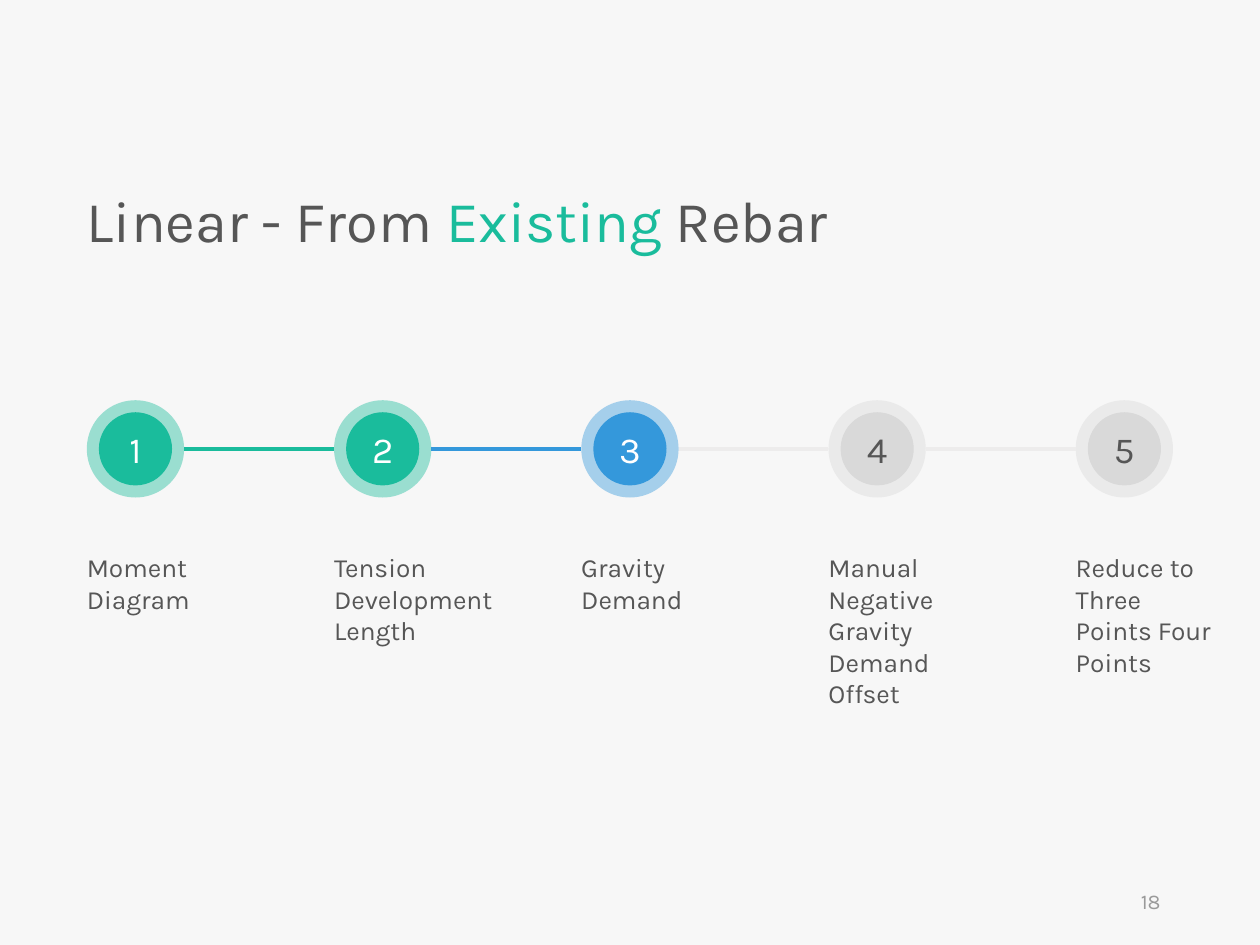
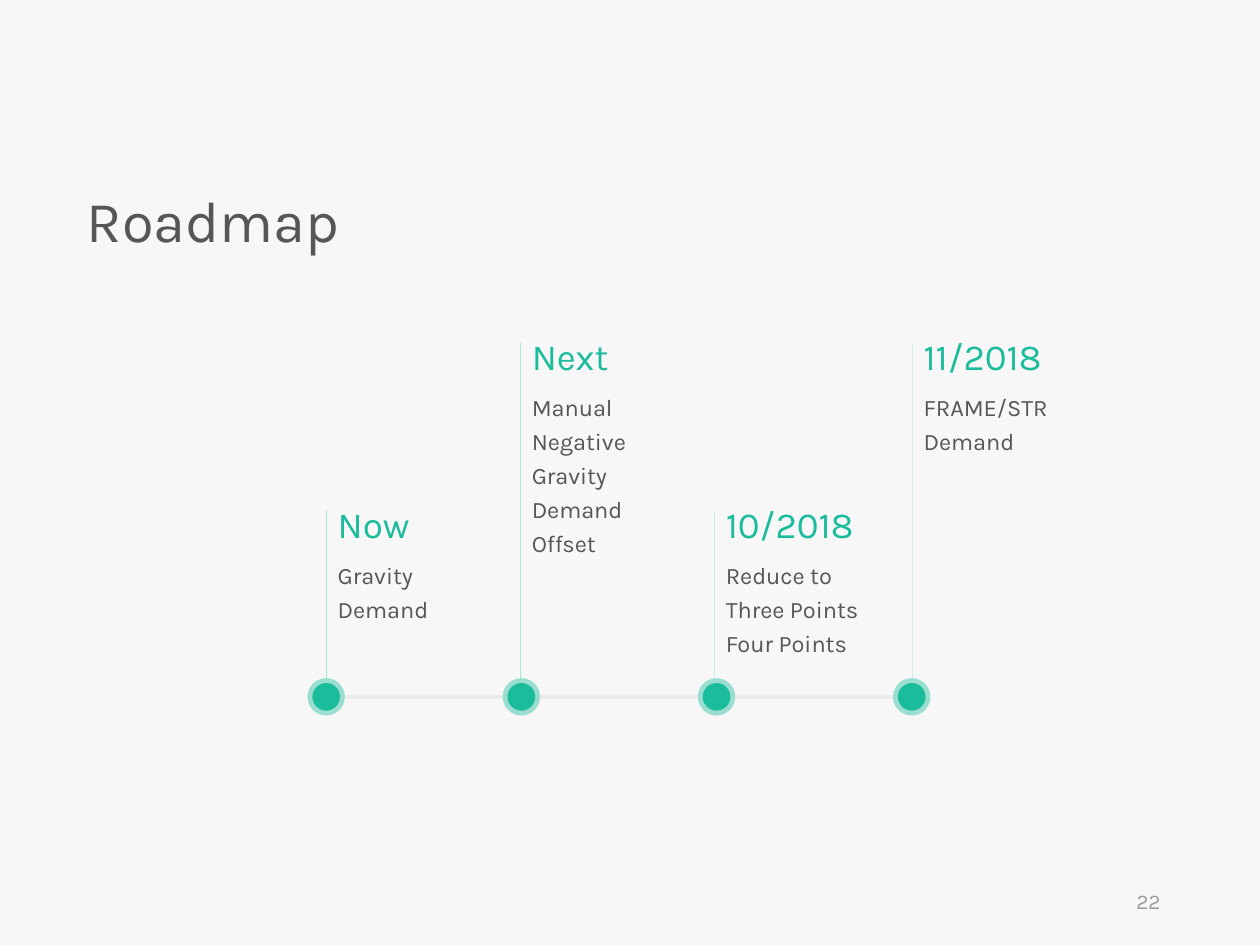
import pptx
import pptx.util
import pptx.dml.color
import pptx.enum.shapes
import pptx.enum.text
import pptx.oxml.ns
import lxml.etree

Pt = pptx.util.Pt
ANCHOR = pptx.enum.text.MSO_ANCHOR
ALIGN = pptx.enum.text.PP_ALIGN

FONT = "Karla"
BACK, TEXT, FOOTER = "F7F7F7", "565656", "9A9A9A"
GREEN, BLUE, GREY, PALE, WHITE = "1ABC9C", "3498DB", "D9D9D9", "EDECEC", "FFFFFF"
HALO = 42

STEPS = [
    ("Moment Diagram", 91.4, GREEN, WHITE),
    ("Tension Development Length", 102.2, GREEN, WHITE),
    ("Gravity Demand", 91.4, BLUE, WHITE),
    ("Manual Negative Gravity Demand Offset", 91.4, GREY, TEXT),
    ("Reduce to Three Points Four Points", 91.4, GREY, TEXT),
]
STEP_LINKS = [GREEN, BLUE, PALE, PALE]

MILESTONES = [
    ("Now", "Gravity Demand", 10.8, 96),
    ("Next", "Manual Negative Gravity Demand Offset", 121.7, 191.5),
    ("10/2018", "Reduce to Three Points Four Points", 232.6, 96),
    ("11/2018", "FRAME/STR Demand", 345.6, 191.5),
]


def rgb(value):
    """Return the colour for a hex string."""
    return pptx.dml.color.RGBColor.from_string(value)


def set_alpha(shape, percent):
    """Make the colours of a shape translucent."""
    qn = pptx.oxml.ns.qn
    for clr in shape._element.spPr.iter(qn("a:srgbClr")):
        lxml.etree.SubElement(clr, qn("a:alpha")).set("val", str(percent * 1000))


def add_run(p, text, size, color):
    """Add one run of text to a paragraph."""
    r = p.add_run()
    r.text = text
    r.font.name = FONT
    r.font.size = Pt(size)
    r.font.color.rgb = rgb(color)


def add_text(s, box, runs, size, inset=0, spacing=None):
    """Add a wrapped text box holding one paragraph and return it."""
    tb = s.shapes.add_textbox(*map(Pt, box))
    tf = tb.text_frame
    tf.word_wrap = True
    tf.auto_size = pptx.enum.text.MSO_AUTO_SIZE.SHAPE_TO_FIT_TEXT
    tf.margin_left = Pt(inset)
    p = tf.paragraphs[0]
    if spacing:
        p.line_spacing = spacing
    for text, color in runs:
        add_run(p, text, size, color)
    return tb


def add_line(s, start, end, color, width, alpha=None):
    """Add a straight connector between two points."""
    cx = s.shapes.add_connector(pptx.enum.shapes.MSO_CONNECTOR.STRAIGHT,
                                *map(Pt, (*start, *end)))
    cx.line.color.rgb = rgb(color)
    cx.line.width = Pt(width)
    if alpha:
        set_alpha(cx, alpha)
    lxml.etree.SubElement(cx._element.spPr, pptx.oxml.ns.qn("a:effectLst"))


def add_disc(shapes, x, y, size, color, alpha=None):
    """Add a borderless circle centred on a point and return it."""
    sp = shapes.add_shape(pptx.enum.shapes.MSO_SHAPE.OVAL,
                          Pt(x - size / 2), Pt(y - size / 2), Pt(size), Pt(size))
    sp.shadow.inherit = False
    sp.fill.solid()
    sp.fill.fore_color.rgb = rgb(color)
    sp.line.fill.background()
    if alpha:
        set_alpha(sp, alpha)
    return sp


def add_frame(prs, title_runs, title_width, number):
    """Add a slide with its background, title and page number."""
    s = prs.slides.add_slide(prs.slide_layouts[6])
    s.background.fill.solid()
    s.background.fill.fore_color.rgb = rgb(BACK)
    title = add_text(s, (49.7, 106.6, title_width, 43.2), title_runs, 33, spacing=0.9)
    title.text_frame.paragraphs[0].space_before = Pt(10)
    page = add_text(s, (508.3, 500.4, 162, 28.8), [(number, FOOTER)], 12, inset=7.2)
    page.text_frame.auto_size = pptx.enum.text.MSO_AUTO_SIZE.NONE
    page.text_frame.vertical_anchor = ANCHOR.MIDDLE
    page.text_frame.paragraphs[0].alignment = ALIGN.RIGHT
    return s


def add_steps(s, left, top, width):
    """Add the row of numbered steps with links and labels."""
    ring, core = 55.6, 41.8
    pitch = (width - ring) / (len(STEPS) - 1)
    middle = top + ring / 2
    for i, (label, label_width, color, ink) in enumerate(STEPS):
        x = left + i * pitch
        shapes = s.shapes.add_group_shape().shapes
        add_disc(shapes, x + ring / 2, middle, core, color)
        halo = add_disc(shapes, x + ring / 2, middle, ring, color, HALO)
        halo.text_frame.vertical_anchor = ANCHOR.MIDDLE
        p = halo.text_frame.paragraphs[0]
        p.alignment = ALIGN.CENTER
        add_run(p, str(i + 1), 21, ink)
        add_text(s, (x, top + 83, label_width, 44), [(label, TEXT)], 15)
    for i, color in enumerate(STEP_LINKS):
        x = left + i * pitch
        add_line(s, (x + ring, middle), (x + pitch, middle), color, 2.25)


def add_roadmap(s, left, top, width):
    """Add the dated milestones with stems above a row of nodes."""
    ring, core = 21.4, 15.8
    pitch = (width - ring) / (len(MILESTONES) - 1)
    middle = top + ring / 2
    for i, (date, label, stem, height) in enumerate(MILESTONES):
        x = left + i * pitch
        shapes = s.shapes.add_group_shape().shapes
        add_disc(shapes, x + ring / 2, middle, ring, GREEN, HALO)
        add_disc(shapes, x + ring / 2, middle, core, GREEN)
        if i < len(MILESTONES) - 1:
            add_line(s, (x + ring, middle), (x + pitch, middle), PALE, 2.25)
        stem_x, stem_top = left + stem, top - height
        add_line(s, (stem_x, top), (stem_x, stem_top), GREEN, 0.25, 51)
        add_text(s, (stem_x, stem_top - 8.6, 100, 32.4), [(date, GREEN)], 21, 6.5)
        add_text(s, (stem_x, stem_top + 22, 100, 44.6), [(label, TEXT)], 13.5, 6.5, 1.2)


def main():
    """Build both slides and save them."""
    prs = pptx.Presentation()
    prs.slide_width, prs.slide_height = Pt(720), Pt(540)
    s = add_frame(prs, [("Linear - From ", TEXT), ("Existing", GREEN), (" Rebar", TEXT)],
                  472.3, "18")
    add_steps(s, 49.6, 228.7, 620.7)
    s = add_frame(prs, [("Roadmap", TEXT)], 265, "22")
    add_roadmap(s, 175.7, 387.5, 356)
    prs.save("out.pptx")


if __name__ == "__main__":
    main()
